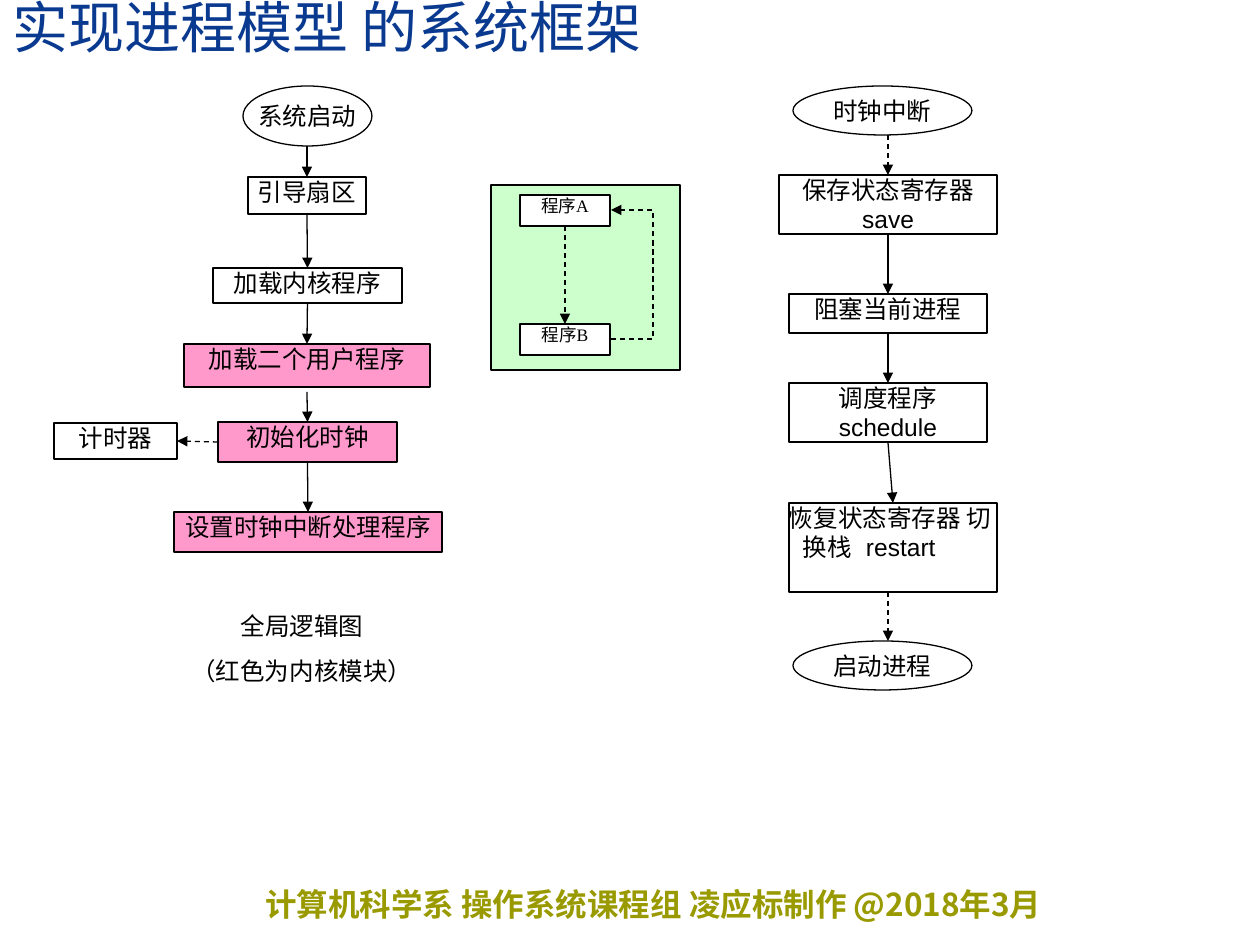
from typing import NamedTuple, Optional

from lxml import etree
from pptx import Presentation
from pptx import util as u
from pptx.dml.color import RGBColor
from pptx.enum import dml, shapes, text
from pptx.oxml.ns import qn

PX = 914400 / 126
HUES = {"ink": "000000", "blue": "0A3A90", "olive": "999900",
        "white": "FFFFFF", "pink": "FF99CC", "green": "CCFFCC"}
SERIF, SANS, CJK = "Times New Roman", "Arial", "Noto Sans CJK SC"
RECT, OVAL = shapes.MSO_SHAPE.RECTANGLE, shapes.MSO_SHAPE.OVAL
TOP, LEFT, BOTTOM = 0, 1, 2


class Box(NamedTuple):
    key: str
    words: str
    x: int
    y: int
    w: int
    h: int
    fill: Optional[str] = "white"
    font: str = SERIF
    size: int = 14
    kind: int = RECT
    edge: bool = True


class Wire(NamedTuple):
    start: tuple  # (box key, side) or a point
    end: tuple
    dash: bool = False


def px(n: float) -> int:
    return u.Emu(round(n * PX))


def hue(name: str) -> RGBColor:
    return RGBColor.from_string(HUES[name])


def write(frame, words: str, font=SERIF, size=14, color="ink", bold=False,
          align=text.PP_ALIGN.CENTER, anchor=text.MSO_ANCHOR.TOP,
          inset=(0, 0), wrap=True, gap=0, spacing=None) -> None:
    frame.auto_size = text.MSO_AUTO_SIZE.NONE
    frame.word_wrap = wrap
    frame.vertical_anchor = anchor
    frame.margin_left = frame.margin_right = u.Inches(inset[0])
    frame.margin_top = frame.margin_bottom = u.Inches(inset[1])
    frame.text = words
    for i, para in enumerate(frame.paragraphs):
        para.alignment = align
        para.line_spacing = spacing
        para.space_before = u.Pt(gap if i else 0)
        for run in para.runs:
            run.font.name, run.font.size = font, u.Pt(size)
            run.font.bold = bold
            run.font.color.rgb = hue(color)
            if font == CJK:
                etree.SubElement(run.font._element, qn("a:ea"), typeface=font)


def draw_box(slide, box: Box):
    shape = slide.shapes.add_shape(
        box.kind, px(box.x), px(box.y), px(box.w), px(box.h))
    shape.shadow.inherit = False
    if box.fill:
        shape.fill.solid()
        shape.fill.fore_color.rgb = hue(box.fill)
    else:
        shape.fill.background()
    if box.edge:
        shape.line.color.rgb = hue("ink")
        shape.line.width = u.Pt(0.75)
    else:
        shape.line.fill.background()
    if box.words:
        oval = box.kind == OVAL
        write(shape.text_frame, box.words, font=box.font, size=box.size,
              gap=8.8, wrap=not oval, inset=(0.1, 0.05) if oval else (0, 0),
              anchor=text.MSO_ANCHOR.MIDDLE if oval else text.MSO_ANCHOR.TOP)
    return shape


def style_line(line, dash: bool) -> None:
    line.color.rgb = hue("ink")
    line.width = u.Pt(0.75)
    if dash:
        line.dash_style = dml.MSO_LINE.DASH
    etree.SubElement(line._get_or_add_ln(), qn("a:tailEnd"), type="triangle")


def draw_wire(slide, wire: Wire, made: dict) -> None:
    ends = [(0, 0) if isinstance(e[0], str) else e
            for e in (wire.start, wire.end)]
    link = slide.shapes.add_connector(
        shapes.MSO_CONNECTOR.STRAIGHT, *(px(n) for e in ends for n in e))
    for end, join in ((wire.start, link.begin_connect),
                      (wire.end, link.end_connect)):
        if isinstance(end[0], str):
            join(made[end[0]], end[1])
    style_line(link.line, wire.dash)
    etree.SubElement(link._element.spPr, qn("a:effectLst"))


BOXES = [
    # Two user programs
    Box("users", "", 491, 185, 189, 185, "green"),
    Box("prog a", "程序A", 520, 195, 90, 31, size=10),
    Box("prog b", "程序B", 520, 324, 90, 31, size=10),
    # Boot sequence
    Box("start", "系统启动", 243, 86, 129, 60, None, SANS, kind=OVAL),
    Box("boot", "引导扇区", 248, 177, 118, 37),
    Box("kernel", "加载内核程序", 213, 268, 189, 35),
    Box("load", "加载二个用户程序", 184, 344, 246, 43, "pink"),
    Box("clock", "初始化时钟", 218, 422, 179, 40, "pink"),
    Box("timer", "计时器", 54, 423, 123, 36),
    Box("handler", "设置时钟中断处理程序", 174, 512, 268, 40, "pink"),
    Box("legend", "全局逻辑图\n（红色为内核模块）", 113, 611, 378, 79, edge=False),
    # Clock interrupt sequence
    Box("tick", "时钟中断", 793, 86, 179, 49, None, SANS, kind=OVAL),
    Box("save", "保存状态寄存器save", 779, 175, 218, 59, font=SANS),
    Box("block", "阻塞当前进程", 789, 294, 198, 39, font=SANS),
    Box("plan", "调度程序 schedule", 789, 383, 198, 59, font=SANS),
    Box("restore", "恢复状态寄存器 切换栈\trestart", 789, 503, 208, 89, font=SANS),
    Box("run", "启动进程", 793, 641, 179, 49, None, SANS, kind=OVAL),
]

CHAINS = [("boot", "kernel", "load"), ("clock", "handler"),
          ("save", "block", "plan", "restore")]
WIRES = [Wire((a, BOTTOM), (b, TOP))
         for chain in CHAINS for a, b in zip(chain, chain[1:])] + [
    Wire((307, 146), ("boot", TOP)),
    Wire((307, 392), ("clock", TOP)),
    Wire(("clock", LEFT), (177, 441), dash=True),
    Wire(("prog a", BOTTOM), ("prog b", TOP), dash=True),
    Wire((888, 135), ("save", TOP), dash=True),
    Wire((888, 592), (888, 641), dash=True),
]
LOOP = [(611, 339), (653, 339), (653, 210), (611, 210)]


def main() -> None:
    deck = Presentation()
    deck.slide_width, deck.slide_height = u.Inches(10), u.Inches(7.5)
    slide = deck.slides.add_slide(deck.slide_layouts[5])

    # Title and footer
    title = slide.shapes.title
    title.left, title.top, title.width, title.height = map(px, (0, 0, 1260, 66))
    write(title.text_frame, "实现进程模型 的系统框架", size=32, color="blue",
          align=text.PP_ALIGN.LEFT, anchor=text.MSO_ANCHOR.BOTTOM,
          inset=(0.1, 0.05), spacing=0.8)
    foot = slide.shapes.add_textbox(*map(px, (253, 879, 942, 50)))
    write(foot.text_frame, "计算机科学系 操作系统课程组 凌应标制作 @2018年3月",
          font=CJK, size=18, color="olive", bold=True,
          align=text.PP_ALIGN.LEFT, inset=(0.1, 0.05))

    # Flow charts
    made = {box.key: draw_box(slide, box) for box in BOXES}
    for wire in WIRES:
        draw_wire(slide, wire, made)

    # Hanging indent and tab stop for the restore step
    para = made["restore"].text_frame.paragraphs[0]
    para.alignment = text.PP_ALIGN.LEFT
    props = para._p.get_or_add_pPr()
    props.set("marL", str(px(14)))
    props.set("indent", str(px(-14)))
    tabs = etree.SubElement(props, qn("a:tabLst"))
    etree.SubElement(tabs, qn("a:tab"), pos=str(px(125)), algn="l")

    # Return path from program B to program A
    pen = slide.shapes.build_freeform(*LOOP[0], scale=PX)
    pen.add_line_segments(LOOP[1:], close=False)
    loop = pen.convert_to_shape()
    loop.shadow.inherit = False
    loop.fill.background()
    style_line(loop.line, dash=True)

    deck.save("out.pptx")


if __name__ == "__main__":
    main()
